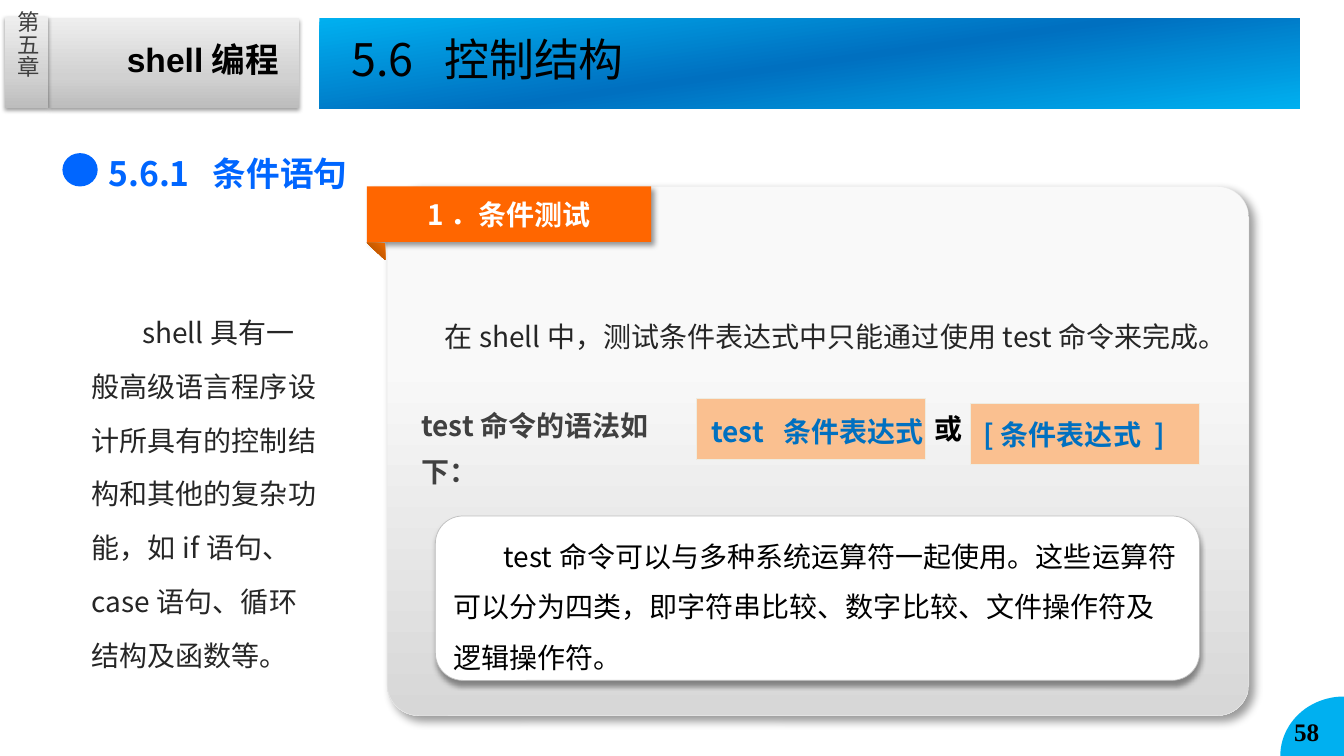
from dataclasses import dataclass
from math import cos, pi, sin
from pptx import Presentation
from pptx.dml.color import RGBColor as Rgb
from pptx.enum.shapes import MSO_SHAPE as Kind
from pptx.enum.text import MSO_ANCHOR as Anchor, MSO_AUTO_SIZE as Fit, PP_ALIGN as Align
from pptx.oxml.ns import qn
from pptx.util import Pt
from lxml.etree import SubElement as Sub


@dataclass(frozen=True)
class Theme:
    sans: str = "Noto Sans CJK SC"
    arial: str = "Arial"
    serif: str = "Times New Roman"
    small: int = 16
    page: int = 18
    body: int = 20
    head: int = 24
    title: int = 32
    black: str = "000000"
    white: str = "FFFFFF"
    ink: str = "262626"
    gray: str = "404040"
    blue: str = "0066FF"
    code: str = "0070C0"
    sky: str = "00B0F0"
    flame: str = "FF6600"
    peach: str = "FAC090"
    cream: str = "EEECE1"
    pale: str = "EAEAEA"
    rim: str = "BFBFBF"
    steel: tuple = ((0, "BDBDBD"), (35, "D1D1D1"), (100, "EEEEEE"))
    sea: tuple = ((0, "00B0F0"), (50, "0070C0"), (100, "00B0F0"))
    mist: tuple = ((33, "F9F9F9"), (100, "D7D7D7"))
    rust: tuple = ((0, "8D4000"), (50, "C85B00"), (100, "EE6B00"))


T = Theme()
WIDE, HIGH = 960, 540
INSET = (7.2, 3.6, 7.2, 3.6)
BARE = (0, 0, 0, 0)

SOFT = (38, 3.1, 1.6, 90)
CAST = (40, 6, 5, 45)
NEAR = (40, 4, 3, 45)
DROP = (40, 4, 3, 90)

SHAPES = {
    "slab": (Kind.RECTANGLE, (34.6, 13, 179.3, 64), (T.steel, 270), None, SOFT),
    "tab": (Kind.RECTANGLE, (3.6, 12.2, 31, 64.8), (T.steel, 270), None, SOFT),
    "panel": (Kind.ROUNDED_RECTANGLE, (276.5, 133.2, 615.6, 378), (T.mist, 90), (T.pale, 0.25), CAST),
    "banner": (Kind.RECTANGLE, (262.1, 133.2, 203, 39.6), T.flame, None, NEAR),
    "fold": (Kind.RIGHT_TRIANGLE, (262.1, 173.5, 13, 12.2), (T.rust, None), None, None),
    "test": (Kind.FLOWCHART_PROCESS, (497.5, 284.4, 163.4, 43.9), T.peach, (T.cream, 0.75), None),
    "square": (Kind.FLOWCHART_PROCESS, (693.4, 288, 163.4, 43.9), T.peach, (T.cream, 0.75), None),
    "dot": (Kind.OVAL, (44.6, 109.4, 25.2, 23.8), T.blue, None, None),
    "note": (Kind.ROUNDED_RECTANGLE, (311, 368.6, 545.8, 117.4), T.white, (T.rim, 0.5), DROP),
}

TITLE = ("5.6", " ", "控制结构")
BODY = ("shell具有一般高级语言程序设计所具有的控制结构和其他的复杂功能，如if语句、case语句、循环结构及函数等。",)
BANNER = ("1．条件测试",)
NOTE = ("test命令可以与多种系统运算符一起使用。这些运算符可以分为四类，即字符串比较、数字比较、文件操作符及逻辑操作符。",)

LABELS = [
    (("shell编程",), (83.5, 24.5, 145, 38), dict(size=T.head, bold=True, font=T.arial)),
    (("第五章",), (8.6, 7.9, 20.9, 75.6), dict(size=T.small, color=T.gray, inset=BARE, turn=True)),
    (("58",), (917.3, 508.3, 42, 29), dict(size=T.page, bold=True, font=T.serif)),
    (("在shell中，测试条件表达式中只能通过使用test命令来完成。",), (274.3, 210.2, 593.3, 45.4),
     dict(color=T.ink, lead=1.6, indent=36)),
    (("test命令的语法如下：",), (293.8, 280.1, 188, 75), dict(color=T.gray, bold=True, lead=1.35)),
    (("test", " ", "条件表达式"), (501.1, 280.8, 180, 43.2), dict(color=T.code, bold=True, lead=1.5)),
    (("[条件表达式 ]",), (695.5, 283, 180, 43.2), dict(color=T.code, bold=True, lead=1.5)),
    (("或",), (660.2, 290.2, 57.6, 33.1), dict(bold=True)),
    (("5.6.1", " ", "条件语句"), (70.4, 100.1, 277.2, 41.8),
     dict(size=T.head, color=T.blue, bold=True, lead=1.2)),
]


def place(shape, box):
    shape.left, shape.top, shape.width, shape.height = map(Pt, box)


def paint(shape, fill):
    if isinstance(fill, str):
        shape.fill.solid()
        shape.fill.fore_color.rgb = Rgb.from_string(fill)
        return
    stops, angle = fill
    shape.fill.gradient()
    grad = shape._element.spPr.find(qn("a:gradFill"))
    for child in list(grad):
        grad.remove(child)
    group = Sub(grad, qn("a:gsLst"))
    for spot, color in stops:
        stop = Sub(group, qn("a:gs"), pos=str(spot * 1000))
        Sub(stop, qn("a:srgbClr"), val=color)
    if angle is None:
        ring = Sub(grad, qn("a:path"), {"path": "circle"})
        Sub(ring, qn("a:fillToRect"), t="100000", r="100000")
    else:
        Sub(grad, qn("a:lin"), ang=str(angle * 60000), scaled="0")


def shade(shape, spec):
    shape.shadow.inherit = False
    if spec:
        alpha, blur, dist, angle = spec
        group = shape._element.spPr.find(qn("a:effectLst"))
        cast = Sub(group, qn("a:outerShdw"), blurRad=str(Pt(blur)), dist=str(Pt(dist)),
                   dir=str(angle * 60000), algn="ctr", rotWithShape="0")
        color = Sub(cast, qn("a:srgbClr"), val=T.black)
        Sub(color, qn("a:alpha"), val=str(alpha * 1000))


def draw(slide, kind, box, fill, line, cast):
    shape = slide.shapes.add_shape(kind, *map(Pt, box))
    paint(shape, fill)
    if line:
        shape.line.color.rgb = Rgb.from_string(line[0])
        shape.line.width = Pt(line[1])
    else:
        shape.line.fill.background()
    shade(shape, cast)
    return shape


def write(shape, parts, size=T.body, color=T.black, bold=False, font=T.sans, lead=1.0,
          indent=0, align=Align.LEFT, anchor=Anchor.TOP, inset=INSET, turn=False):
    frame = shape.text_frame
    frame.auto_size = Fit.NONE
    frame.word_wrap = True
    frame.vertical_anchor = anchor
    (frame.margin_left, frame.margin_top,
     frame.margin_right, frame.margin_bottom) = map(Pt, inset)
    if turn:
        frame._txBody.bodyPr.set("vert", "eaVert")
    para = frame.paragraphs[0]
    props = para._p.get_or_add_pPr()
    props.set("marL", "0")
    props.set("indent", str(Pt(indent)))
    Sub(props, qn("a:buNone"))
    para.alignment = align
    para.line_spacing = lead
    para.space_before = Pt(0)
    for part in parts:
        run = para.add_run()
        run.text = part
        run.font.size = Pt(size)
        run.font.bold = bold
        run.font.name = font
        run.font.color.rgb = Rgb.from_string(color)
        mark = run._r.get_or_add_rPr()
        Sub(mark, qn("a:ea"), typeface=T.sans)
        if part == " ":
            mark.set("spc", str(size * 22))


def corner(slide, wide, high, steps=24):
    turns = [pi / 2 * i / steps for i in range(steps + 1)]
    arc = [(Pt(WIDE - wide * cos(a)), Pt(HIGH - high * sin(a))) for a in turns]
    path = slide.shapes.build_freeform(Pt(WIDE), Pt(HIGH))
    path.add_line_segments(arc)
    shape = path.convert_to_shape()
    paint(shape, T.sky)
    shape.line.fill.background()
    shade(shape, None)


def main():
    deck = Presentation()
    deck.slide_width, deck.slide_height = Pt(WIDE), Pt(HIGH)
    slide = deck.slides.add_slide(deck.slide_layouts[1])
    title, body = slide.placeholders
    place(title, (228.2, 13, 700.4, 64.8))
    paint(title, (T.sea, 262))
    write(title, TITLE, size=T.title, inset=(23, 9.4, 0, 0))
    place(body, (58.3, 207.4, 178.6, 275.8))
    write(body, BODY, color=T.ink, lead=1.6, indent=36)

    corner(slide, 45.5, 42.5)
    made = {name: draw(slide, *spec) for name, spec in SHAPES.items()}
    made["panel"].adjustments[0] = 0.06
    made["fold"].rotation = 180
    write(made["banner"], BANNER, color=T.white, bold=True,
          align=Align.CENTER, anchor=Anchor.MIDDLE)
    write(made["note"], NOTE, lead=1.5, indent=36, anchor=Anchor.MIDDLE)
    for parts, box, style in LABELS:
        write(slide.shapes.add_textbox(*map(Pt, box)), parts, **style)
    deck.save("out.pptx")


if __name__ == "__main__":
    main()
